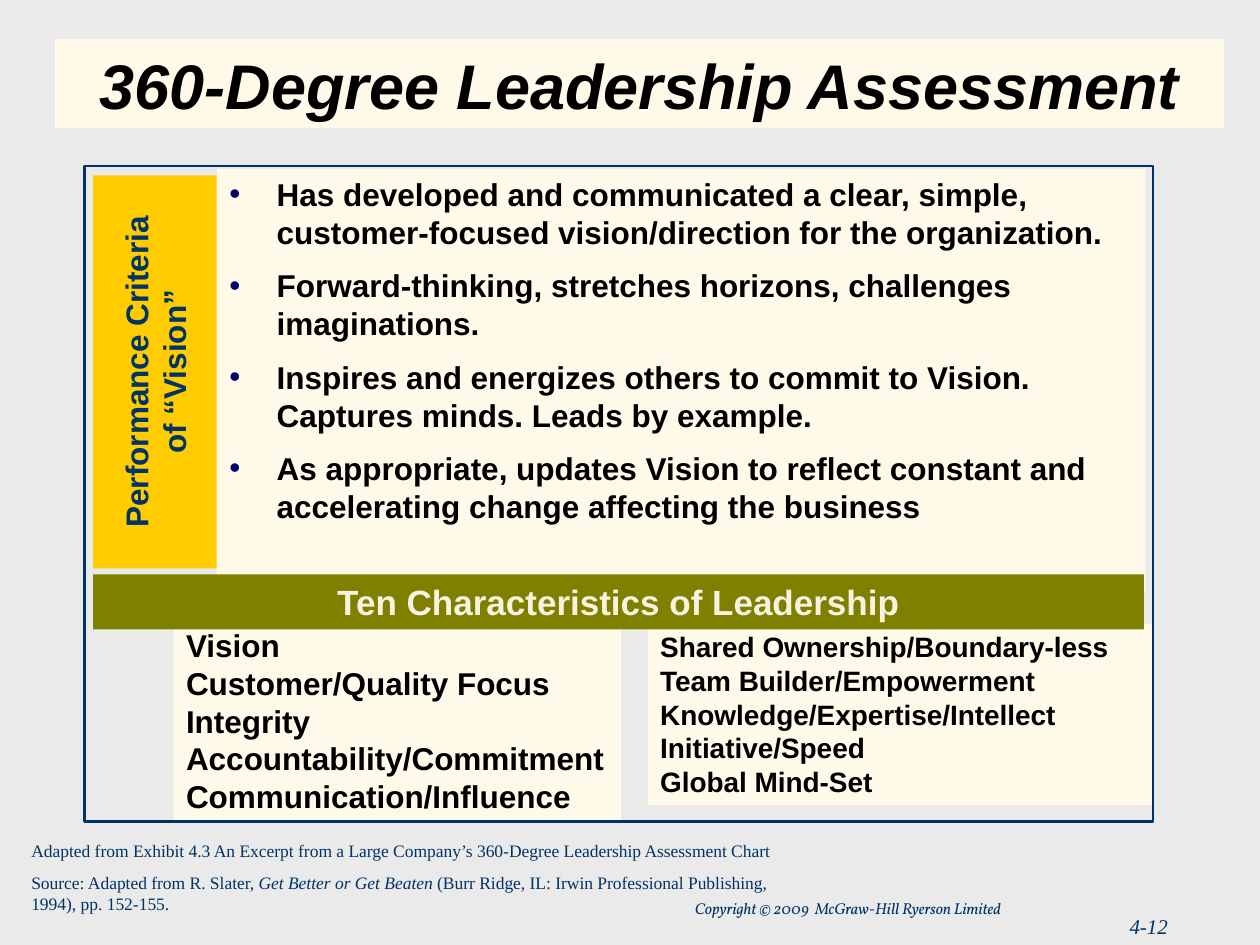
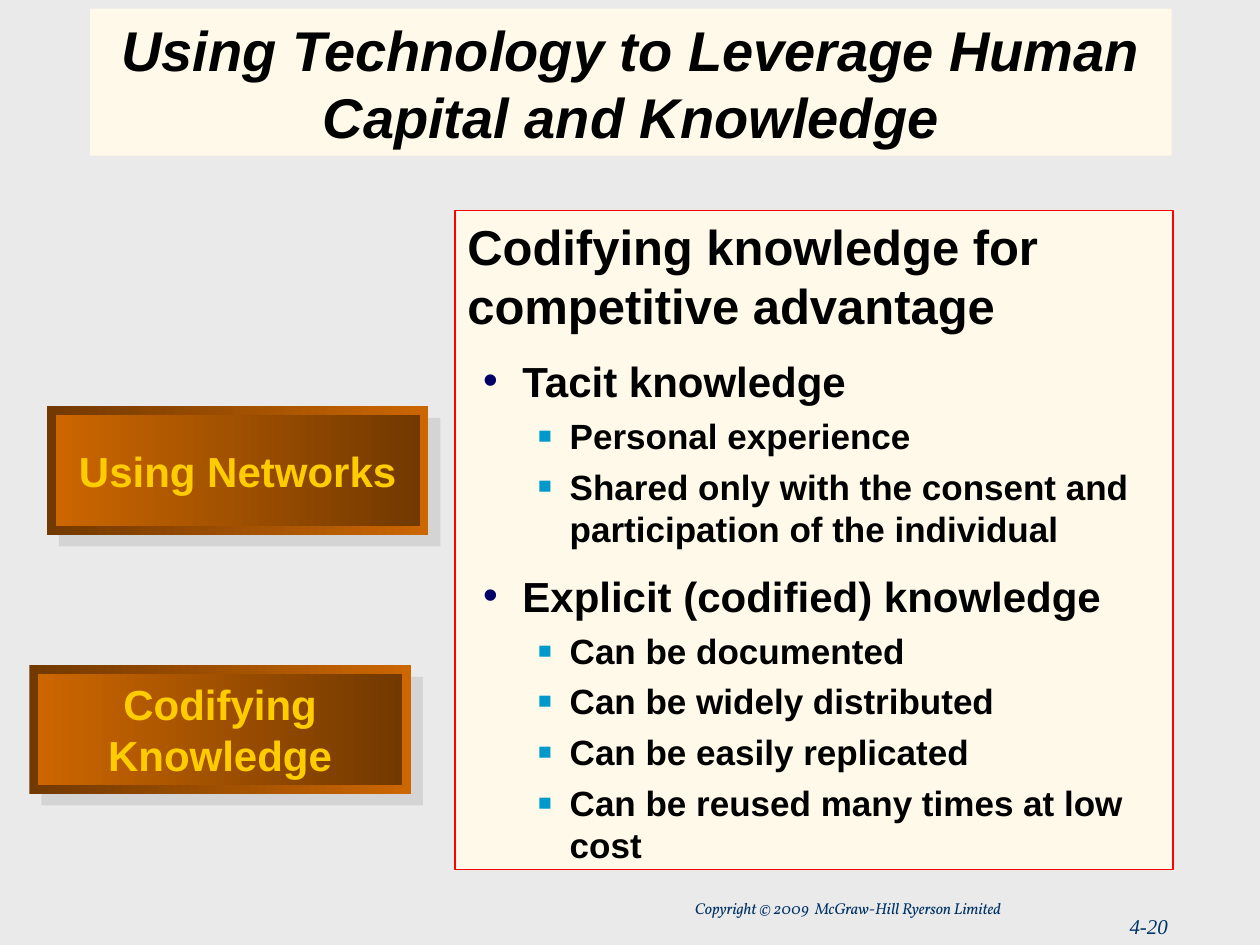
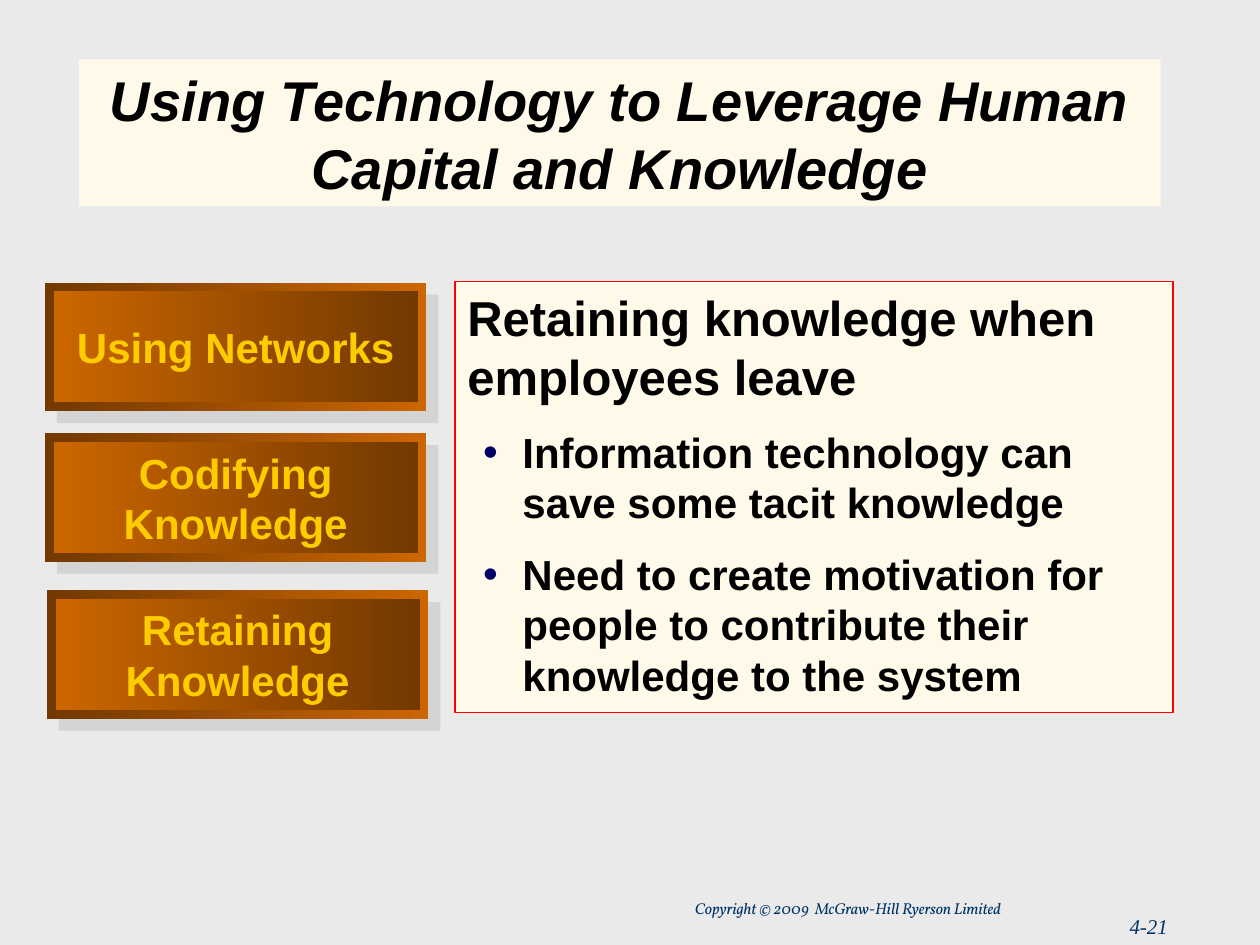
from lxml.etree import SubElement
from pptx import Presentation
from pptx.dml.color import RGBColor
from pptx.enum.shapes import MSO_SHAPE
from pptx.enum.text import MSO_ANCHOR, PP_ALIGN
from pptx.oxml.ns import qn
from pptx.util import Pt

RECTANGLE = MSO_SHAPE.RECTANGLE
TOP, MIDDLE, BOTTOM = MSO_ANCHOR.TOP, MSO_ANCHOR.MIDDLE, MSO_ANCHOR.BOTTOM
LEFT, CENTER, RIGHT = PP_ALIGN.LEFT, PP_ALIGN.CENTER, PP_ALIGN.RIGHT

COLORS = {
    "background": "EAEAEA", "panel": "FFF9E9", "text": "000000", "navy": "003366",
    "bullet": "000066", "square": "0099CC", "red": "FF0000", "gold": "FFCC00",
    "olive": "808000", "cream": "F8F3E0", "shadow": "C0C0C0",
    "orange": "CC6600", "brown": "723900",
}
SANS, SERIF, COPYRIGHT_FONT = "Arial", "Times New Roman", "Vollkorn"

DOT = {"character": "•", "color": "bullet", "percent": 100}
SQUARE = {"character": "■", "color": "square", "percent": 65}
CRITERION = {"size": 18, "before": 9, "margin": 27, "hanging": 27, "bullet": DOT}
HEADING = {"size": 28, "before": 14}
POINT = {"size": 24, "before": 12, "margin": 31.5, "hanging": 22.5, "bullet": DOT, "level": 1}
DETAIL = {"size": 20, "before": 5, "margin": 58.5, "hanging": 18, "bullet": SQUARE, "level": 2}

BUTTON_WIDTH, BUTTON_HEIGHT = 218, 73.5
BEVEL, SHADOW_OFFSET = 5, 6.8
TECHNOLOGY_TITLE = "Using Technology to Leverage Human Capital and Knowledge"


def rgb(name):
    return RGBColor.from_string(COLORS[name])


def add_bullet(paragraph, character, color, percent):
    properties = paragraph._p.get_or_add_pPr()
    bullet_color = SubElement(properties, qn("a:buClr"))
    SubElement(bullet_color, qn("a:srgbClr"), val=COLORS[color])
    SubElement(properties, qn("a:buSzPct"), val=str(percent * 1000))
    SubElement(properties, qn("a:buFont"), typeface=SANS)
    SubElement(properties, qn("a:buChar"), char=character)


def add_text(shape, text, size=18, font=SANS, color="text", bold=True, italic=False,
             align=LEFT, before=0, margin=0, hanging=0, bullet=None, level=0):
    frame = shape.text_frame
    if frame.text:
        paragraph = frame.add_paragraph()
        paragraph.space_before = Pt(before)
    else:
        paragraph = frame.paragraphs[0]
    paragraph.alignment = align
    paragraph.level = level
    if bullet:
        properties = paragraph._p.get_or_add_pPr()
        properties.set("marL", str(Pt(margin)))
        properties.set("indent", str(-Pt(hanging)))
        add_bullet(paragraph, **bullet)
    runs = [(text, italic)] if isinstance(text, str) else text
    for words, slanted in runs:
        run = paragraph.add_run()
        run.text = words
        run.font.name = font
        run.font.size = Pt(size)
        run.font.bold = bold
        run.font.italic = slanted
        run.font.color.rgb = rgb(color)


def add_box(shapes, box, fill=None, line=None, line_width=0.75, anchor=TOP):
    shape = shapes.add_shape(RECTANGLE, *map(Pt, box))
    shape.shadow.inherit = False
    if isinstance(fill, tuple):
        shape.fill.gradient()
        shape.fill.gradient_angle = 0
        for stop, color in zip(shape.fill.gradient_stops, fill):
            stop.color.rgb = rgb(color)
    elif fill:
        shape.fill.solid()
        shape.fill.fore_color.rgb = rgb(fill)
    else:
        shape.fill.background()
    if line:
        shape.line.color.rgb = rgb(line)
        shape.line.width = Pt(line_width)
    else:
        shape.line.fill.background()
    shape.text_frame.word_wrap = True
    shape.text_frame.vertical_anchor = anchor
    return shape


def add_label(shapes, box):
    label = shapes.add_textbox(*map(Pt, box))
    label.text_frame.word_wrap = True
    return label


def add_base(presentation, number):
    slide = presentation.slides.add_slide(presentation.slide_layouts[6])
    slide.background.fill.solid()
    slide.background.fill.fore_color.rgb = rgb("background")
    footer = {"color": "navy", "bold": False, "italic": True}
    add_text(add_label(slide.shapes, (554.5, 518.5, 120, 21.5)), number,
             size=12, font=SERIF, align=RIGHT, **footer)
    add_text(add_label(slide.shapes, (390, 510, 330, 18)),
             "Copyright © 2009  McGraw-Hill Ryerson Limited",
             size=9, font=COPYRIGHT_FONT, **footer)
    return slide


def add_title(slide, box, text, size):
    title = add_box(slide.shapes, box, "panel", anchor=BOTTOM)
    add_text(title, text, size=size, italic=True, align=CENTER)


def add_panel(slide, box, items, line=None):
    panel = add_box(slide.shapes, box, "panel", line)
    for text, style in items:
        add_text(panel, text, **style)


def add_list(slide, box, lines, size):
    add_panel(slide, box, [(line, {"size": size}) for line in lines])


def add_vertical_tab(slide, box, text, length, thickness):
    left, top, width, height = box
    group = slide.shapes.add_group_shape()
    add_box(group.shapes, box, "gold")
    label = add_label(group.shapes, (left + (width - length) / 2,
                                     top + (height - thickness) / 2, length, thickness))
    label.rotation = 270
    add_text(label, text, color="navy", align=CENTER)


def add_source(slide, box, paragraphs):
    source = add_label(slide.shapes, box)
    for text in paragraphs:
        add_text(source, text, size=10, font=SERIF, color="navy", bold=False, before=6.2)


def add_button(slide, left, top, text):
    shapes = slide.shapes.add_group_shape().shapes
    size = BUTTON_WIDTH, BUTTON_HEIGHT
    shadow = add_box(shapes, (left + SHADOW_OFFSET, top + SHADOW_OFFSET, *size), "shadow")
    shadow_color = shadow._element.spPr.find(qn("a:solidFill")).find(qn("a:srgbClr"))
    SubElement(shadow_color, qn("a:alpha"), val="50000")
    add_box(shapes, (left, top, *size), ("brown", "orange"))
    face = add_box(shapes, (left + BEVEL, top + BEVEL,
                            BUTTON_WIDTH - 2 * BEVEL, BUTTON_HEIGHT - 2 * BEVEL),
                   ("orange", "brown"), anchor=MIDDLE)
    add_text(face, text, size=24, color="gold", align=CENTER)


def build_assessment(presentation):
    slide = add_base(presentation, "4-12")
    add_title(slide, (31.5, 22.3, 668, 51), "360-Degree Leadership Assessment", 36)
    criteria = [
        "Has developed and communicated a clear, simple, customer-focused "
        "vision/direction for the organization.",
        "Forward-thinking, stretches horizons, challenges imaginations.",
        "Inspires and energizes others to commit to Vision. Captures minds. Leads by example.",
        "As appropriate, updates Vision to reflect constant and accelerating change "
        "affecting the business",
    ]
    add_panel(slide, (124, 96.5, 530.5, 241), [(text, CRITERION) for text in criteria])
    add_list(slide, (99.2, 354.2, 255.6, 115), [
        "Vision", "Customer/Quality Focus", "Integrity",
        "Accountability/Commitment", "Communication/Influence"], 18)
    add_list(slide, (370.2, 356.4, 288, 103.5), [
        "Shared Ownership/Boundary-less", "Team Builder/Empowerment",
        "Knowledge/Expertise/Intellect", "Initiative/Speed", "Global Mind-Set"], 16)
    add_vertical_tab(slide, (53.2, 100.2, 70.6, 224.6),
                     "Performance Criteria of “Vision”", 199.5, 50.4)
    add_box(slide.shapes, (48.2, 95, 610.6, 374.4), line="navy", line_width=1.5)
    add_source(slide, (10.8, 476.6, 445, 49.7), [
        "Adapted from Exhibit 4.3 An Excerpt from a Large Company’s "
        "360-Degree Leadership Assessment Chart",
        [("Source: Adapted from R. Slater, ", False), ("Get Better or Get Beaten", True),
         (" (Burr Ridge, IL: Irwin Professional Publishing, 1994), pp. 152-155.", False)],
    ])
    band = add_box(slide.shapes, (53.2, 328.2, 600.5, 31.5), "olive")
    add_text(band, "Ten Characteristics of Leadership", size=20, color="cream", align=CENTER)


def build_technology(presentation, number, title_corner, panel_top, panel_height, items, buttons):
    slide = add_base(presentation, number)
    add_title(slide, (*title_corner, 618, 84), TECHNOLOGY_TITLE, 32)
    add_panel(slide, (260, panel_top, 410.4, panel_height), items, "red")
    for left, top, text in buttons:
        add_button(slide, left, top, text)


def main():
    presentation = Presentation()
    presentation.slide_width, presentation.slide_height = Pt(720), Pt(540)
    build_assessment(presentation)
    build_technology(
        presentation, "4-20", (51.6, 5), 120.2, 376.8,
        [("Codifying knowledge for competitive advantage", HEADING),
         ("Tacit knowledge", POINT),
         ("Personal experience", DETAIL),
         ("Shared only with the consent and participation of the individual", DETAIL),
         ("Explicit (codified) knowledge", POINT),
         ("Can be documented", DETAIL),
         ("Can be widely distributed", DETAIL),
         ("Can be easily replicated", DETAIL),
         ("Can be reused many times at low cost", DETAIL)],
        [(16.8, 380, "Codifying Knowledge"), (26.8, 232, "Using Networks")])
    build_technology(
        presentation, "4-21", (45.2, 34), 161, 246,
        [("Retaining knowledge when employees leave", HEADING),
         ("Information technology can save some tacit knowledge", POINT),
         ("Need to create motivation for people to contribute their knowledge to the system",
          POINT)],
        [(26.8, 337.2, "Retaining Knowledge"), (25.7, 247.5, "Codifying Knowledge"),
         (25.7, 161.5, "Using Networks")])
    presentation.save("out.pptx")


if __name__ == "__main__":
    main()
